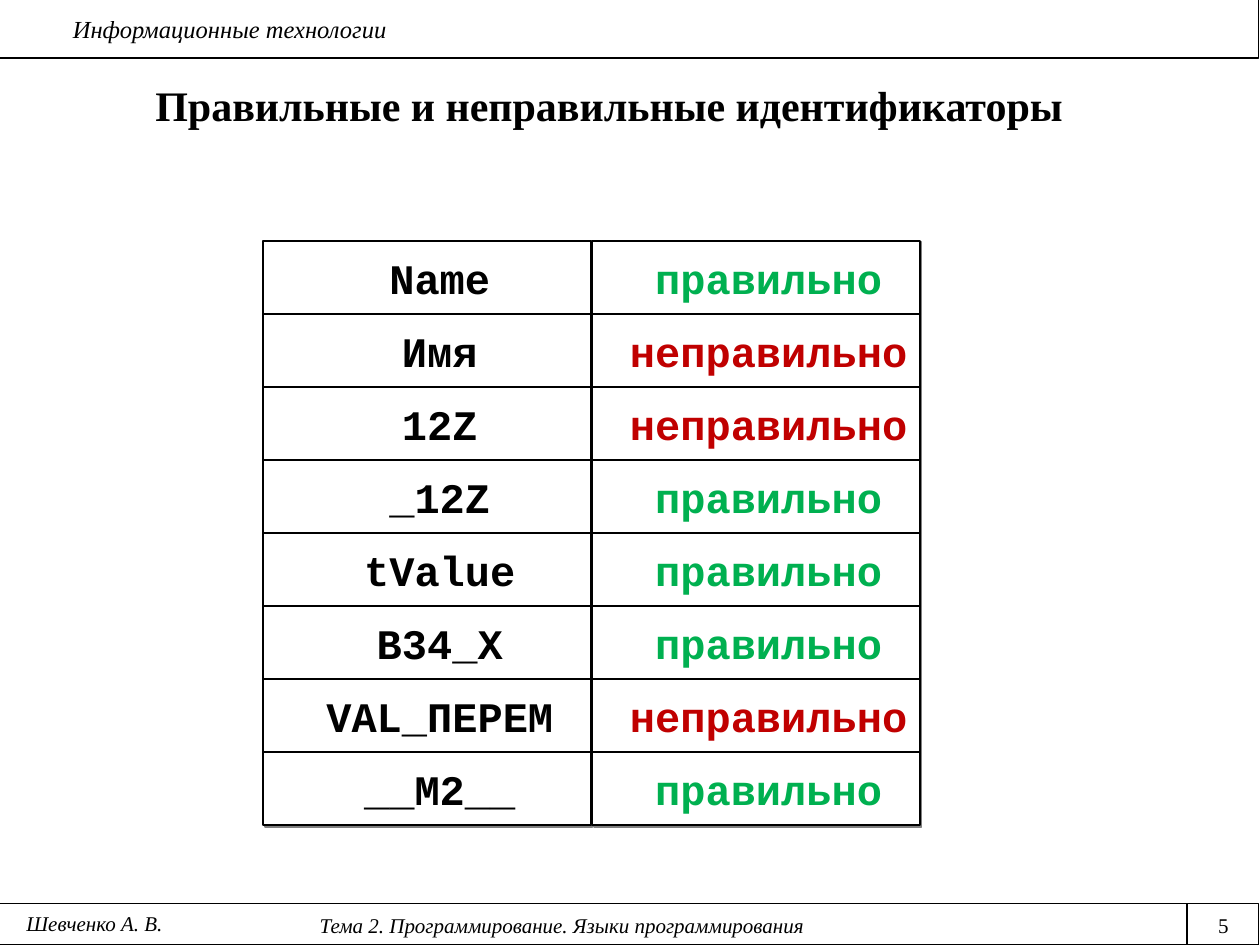
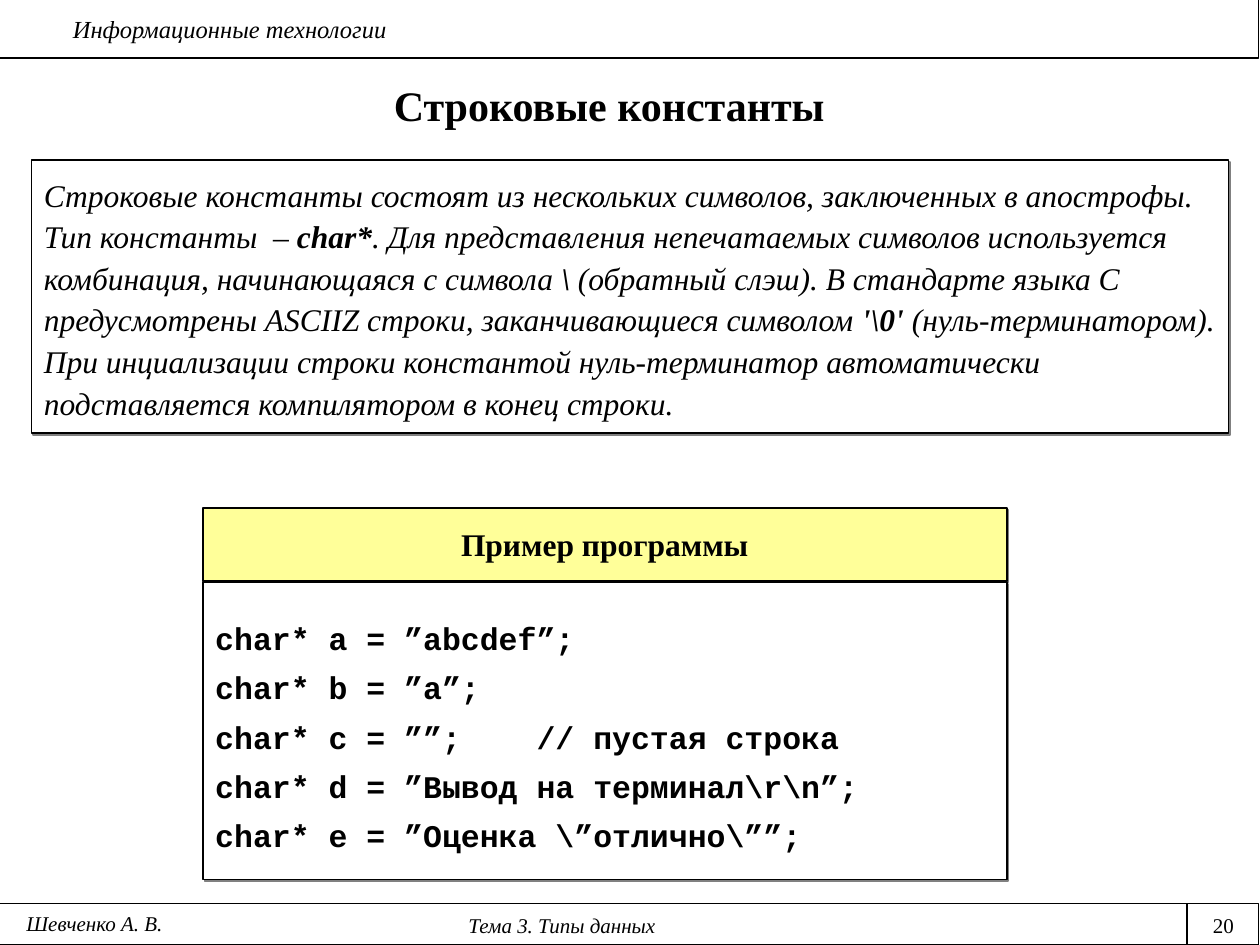
from lxml import etree
from pptx import Presentation
from pptx.dml.color import RGBColor
from pptx.enum.shapes import MSO_CONNECTOR as Connector, MSO_SHAPE as Shape
from pptx.enum.text import MSO_ANCHOR as Anchor, PP_ALIGN as Align
from pptx.oxml import parse_xml
from pptx.oxml.ns import nsdecls, qn
from pptx.util import Inches, Pt

BLACK = RGBColor(0x00, 0x00, 0x00)
WHITE = RGBColor(0xFF, 0xFF, 0xFF)
YELLOW = RGBColor(0xFF, 0xFF, 0x99)
GREEN = RGBColor(0x00, 0xB0, 0x50)
RED = RGBColor(0xC0, 0x00, 0x00)
SHADOW_HEX = "808080"
SERIF = "Times New Roman"
MONO = "Courier New"

COURSE = "Информационные технологии"
AUTHOR = "Шевченко А. В."

IDENTIFIERS_TITLE = "Правильные и неправильные идентификаторы"
IDENTIFIERS_TOPIC = "Тема 2. Программирование. Языки программирования"
IDENTIFIERS = [
    ("Name", True),
    ("Имя", False),
    ("12Z", False),
    ("_12Z", True),
    ("tValue", True),
    ("B34_X", True),
    ("VAL_ПЕРЕМ", False),
    ("__M2__", True),
]
VERDICTS = {True: ("правильно", GREEN), False: ("неправильно", RED)}

STRINGS_TITLE = "Строковые константы"
STRINGS_TOPIC = "Тема 3. Типы данных"
DEFINITION = [  # text, bold
    ("Строковые константы состоят из нескольких символов, заключенных в "
     "апострофы. Тип константы  – ", False),
    ("char*", True),
    (". Для представления непечатаемых символов используется комбинация, "
     "начинающаяся с символа ", False),
    ("\\", True),
    (" (обратный слэш). В стандарте языка С предусмотрены ASCIIZ строки, "
     "заканчивающиеся символом ", False),
    ("'\\0'", True),
    (" (нуль-терминатором). При инциализации строки константой "
     "нуль-терминатор автоматически подставляется компилятором в конец "
     "строки.", False),
]
EXAMPLE_HEADING = "Пример программы"
EXAMPLE_CODE = [
    "char* a = ”abcdef”;",
    "char* b = ”a”;",
    "char* c = ””;    // пустая строка",
    "char* d = ”Вывод на терминал\\r\\n”;",
    "char* e = ”Оценка \\”отлично\\””;",
]

FOOTER_TOP, FOOTER_HEIGHT = 7.17, 0.33
NUMBER_LEFT = 9.42
ROWS_LEFT, ROWS_TOP = 2.09, 1.91
ROW_WIDTH, ROW_HEIGHT, COLUMN_STEP = 2.6, 0.58, 2.61
EXAMPLE_LEFT, EXAMPLE_TOP, EXAMPLE_WIDTH = 1.61, 4.03, 6.38


def write(shape, runs, size, font=SERIF, color=BLACK, bold=False, italic=False,
          align=Align.LEFT, anchor=Anchor.TOP, spacing=None):
    """Fill a shape with a string, or with one paragraph of (text, bold) runs."""
    frame = shape.text_frame
    frame.word_wrap = True
    frame.vertical_anchor = anchor
    if isinstance(runs, str):
        frame.text = runs
    else:
        for text, is_bold in runs:
            run = frame.paragraphs[0].add_run()
            run.text = text
            run.font.bold = is_bold
    for paragraph in frame.paragraphs:
        paragraph.alignment = align
        paragraph.line_spacing = spacing
        for run in paragraph.runs:
            run.font.name = font
            run.font.size = Pt(size)
            run.font.color.rgb = color
            run.font.italic = italic
            if isinstance(runs, str):
                run.font.bold = bold


def add_text(slide, box, text, size, **style):
    shape = slide.shapes.add_textbox(*map(Inches, box))
    write(shape, text, size, **style)


def add_box(slide, box, fill=WHITE, line_width=1):
    shape = slide.shapes.add_shape(Shape.RECTANGLE, *map(Inches, box))
    shape.shadow.inherit = False
    shape.fill.solid()
    shape.fill.fore_color.rgb = fill
    shape.line.color.rgb = BLACK
    shape.line.width = Pt(line_width)
    return shape


def add_panel(slide, box, runs, size, fill=WHITE, **style):
    """Add an outlined text box with a hard grey shadow."""
    shape = add_box(slide, box, fill)
    effects = shape._element.spPr.find(qn("a:effectLst"))
    effects.append(parse_xml(
        f'<a:outerShdw {nsdecls("a")} dist="{Pt(1.4)}" dir="2700000" '
        f'algn="ctr" rotWithShape="0"><a:srgbClr val="{SHADOW_HEX}"/>'
        '</a:outerShdw>'))
    write(shape, runs, size, anchor=Anchor.MIDDLE, **style)
    return shape


def add_framed_slide(presentation, title, topic, number):
    """Add a blank slide with the shared bands, footer and title."""
    slide = presentation.slides.add_slide(presentation.slide_layouts[6])
    add_box(slide, (-0.01, FOOTER_TOP, 10, FOOTER_HEIGHT), line_width=0.75)
    add_box(slide, (-0.01, -0.01, 10, 0.47), line_width=0.75)
    add_text(slide, (0.48, 0.06, 9.42, 0.34), COURSE, 14, italic=True)
    add_text(slide, (0, 7.19, 8.92, 0.3), topic, 12, italic=True,
             align=Align.CENTER)
    add_text(slide, (NUMBER_LEFT, 7.19, 0.58, 0.3), str(number), 12,
             align=Align.CENTER)
    divider = slide.shapes.add_connector(
        Connector.STRAIGHT, Inches(NUMBER_LEFT), Inches(FOOTER_TOP),
        Inches(NUMBER_LEFT), Inches(FOOTER_TOP + FOOTER_HEIGHT))
    divider.line.color.rgb = BLACK
    divider.line.width = Pt(0.75)
    etree.SubElement(divider._element.spPr, qn("a:effectLst"))
    add_text(slide, (0.25, 0.58, 9.17, 0.5), title, 24, bold=True,
             align=Align.CENTER, anchor=Anchor.MIDDLE)
    add_text(slide, (0, 7.18, 1.5, 0.3), AUTHOR, 12, italic=True,
             align=Align.CENTER)
    return slide


def build_identifiers(presentation):
    slide = add_framed_slide(presentation, IDENTIFIERS_TITLE,
                             IDENTIFIERS_TOPIC, 5)
    for row, (identifier, is_valid) in enumerate(IDENTIFIERS):
        cells = [(identifier, BLACK), VERDICTS[is_valid]]
        for column, (text, color) in enumerate(cells):
            box = (ROWS_LEFT + column * COLUMN_STEP,
                   ROWS_TOP + row * ROW_HEIGHT, ROW_WIDTH, ROW_HEIGHT)
            cell = add_panel(slide, box, text, 24, font=MONO, color=color,
                             bold=True, align=Align.CENTER)
            cell.text_frame.margin_left = Inches(0.25)
            cell.text_frame.margin_right = Inches(0.05)


def build_strings(presentation):
    slide = add_framed_slide(presentation, STRINGS_TITLE, STRINGS_TOPIC, 20)
    add_panel(slide, (0.25, 1.27, 9.5, 2.17), DEFINITION, 18, italic=True,
              spacing=1.1)
    add_panel(slide, (EXAMPLE_LEFT, EXAMPLE_TOP, EXAMPLE_WIDTH, 0.58),
              EXAMPLE_HEADING, 18, fill=YELLOW, bold=True, align=Align.CENTER)
    add_panel(slide, (EXAMPLE_LEFT, EXAMPLE_TOP + 0.59, EXAMPLE_WIDTH, 2.36),
              "\n".join(EXAMPLE_CODE), 18, font=MONO, bold=True, spacing=1.3)


def main():
    presentation = Presentation()
    presentation.slide_width = Inches(10)
    presentation.slide_height = Inches(7.5)
    build_identifiers(presentation)
    build_strings(presentation)
    presentation.save("out.pptx")


if __name__ == "__main__":
    main()
